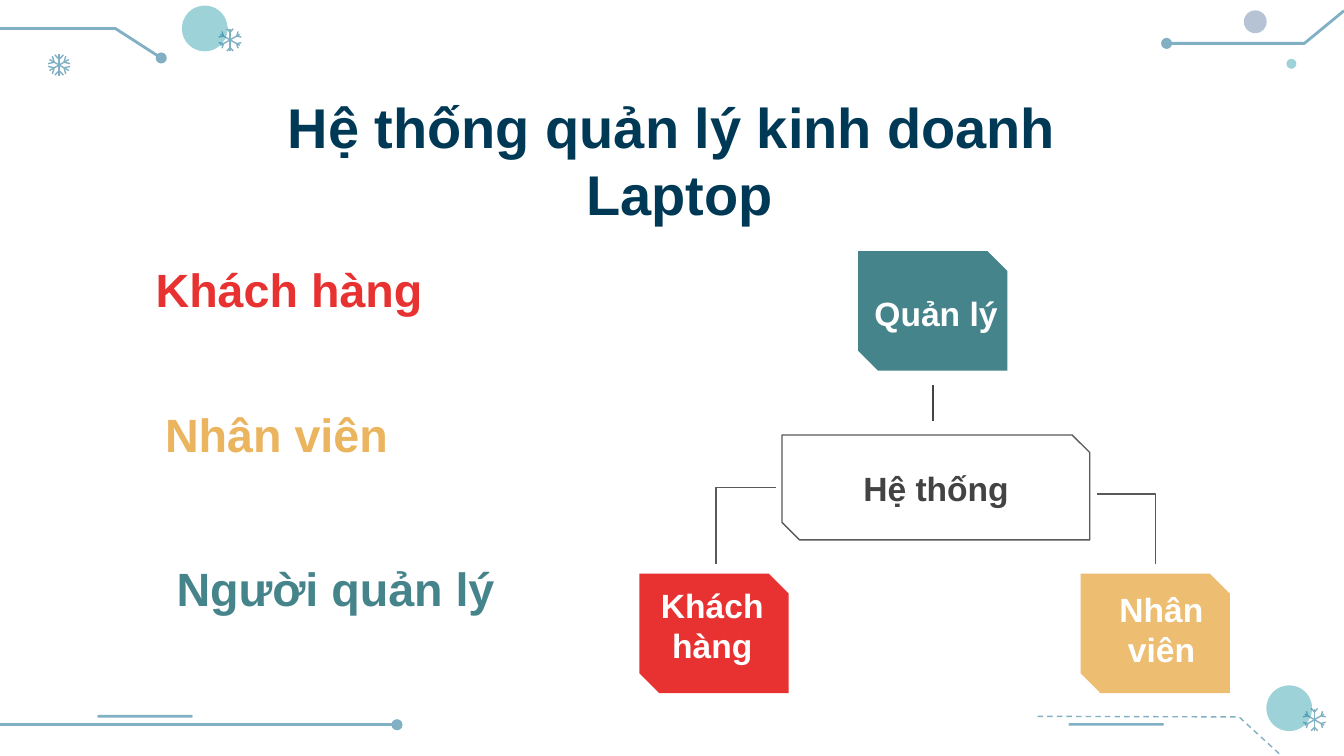
"""Build a slide on the parts of a laptop sales system."""
from dataclasses import dataclass
from math import cos, radians, sin
from typing import Any

from lxml.etree import SubElement
from pptx import Presentation
from pptx.dml.color import RGBColor
from pptx.enum.dml import MSO_LINE
from pptx.enum.shapes import MSO_CONNECTOR, MSO_SHAPE
from pptx.enum.text import MSO_ANCHOR, PP_ALIGN
from pptx.oxml.ns import qn
from pptx.util import Inches, Pt

COLS, ROWS = 100, 56.25
CELL = Inches(0.1)
HUES = {
    "navy": "003956", "red": "E83232", "gold": "EBB45E", "sand": "EDBD72",
    "teal": "46848C", "white": "FFFFFF", "dark": "434343", "gray": "595959",
    "trace": "81B0C5", "aqua": "00899C", "slate": "496A95",
}
FRAME = {
    "word_wrap": True, "margin_left": CELL, "margin_right": CELL,
    "margin_top": CELL, "margin_bottom": CELL,
}
Point = tuple[float, float]


@dataclass(frozen=True)
class Box:
    """Place of an item in grid columns and rows."""
    col: float
    row: float
    wide: float
    high: float

    def span(self) -> list[int]:
        """Give the place in slide units."""
        return [grid(n) for n in (self.col, self.row, self.wide, self.high)]


@dataclass(frozen=True)
class Label:
    """Words with their place and look."""
    text: str
    box: Box
    hue: str
    size: int = 18
    align: Any = PP_ALIGN.CENTER
    anchor: Any = MSO_ANCHOR.BOTTOM
    after: int = 0


@dataclass(frozen=True)
class Trace:
    """Open line through grid points."""
    dots: tuple[Point, ...]
    width: float = 1.5
    knob: bool = False
    dash: bool = False


@dataclass(frozen=True)
class Flake:
    """Snowflake with six forked arms."""
    hub: Point
    fork: float
    tip: Point


@dataclass(frozen=True)
class Panel:
    """Filled or outlined preset shape."""
    box: Box
    hue: str
    kind: Any = MSO_SHAPE.SNIP_2_DIAG_RECTANGLE
    hollow: bool = False
    alpha: int = 100


SNIP = (11.1, 8.9)
PILL = (7.1, 0.2)
DISC = (3.4, 3.4)
OVAL = MSO_SHAPE.OVAL
ROUND = MSO_SHAPE.ROUNDED_RECTANGLE
TRACES = [
    Trace(((0, 53.93), (27.6, 53.93), (29.54, 53.93)), knob=True),
    Trace(((COLS, 0.8), (97.05, 3.23), (86.8, 3.23)), knob=True),
    Trace(((0, 2.13), (8.6, 2.13), (12, 4.32)), knob=True),
    Trace(((77.2, 53.3), (92.2, 53.35), (95.2, 56.1)), 0.75, dash=True),
]
FLAKES = [
    Flake((17.12, 2.97), 0.57, (0.83, 0.24)),
    Flake((4.4, 4.84), 0.42, (0.76, 0.32)),
    Flake((97.8, 53.55), 0.57, (0.83, 0.24)),
]
PANELS = [
    Panel(Box(7.24, 53.2, *PILL), "trace", ROUND),
    Panel(Box(79.5, 53.8, *PILL), "trace", ROUND),
    Panel(Box(92.55, 0.77, 1.7, 1.7), "slate", OVAL, alpha=40),
    Panel(Box(95.72, 4.38, 0.74, 0.74), "aqua", OVAL, alpha=38),
    Panel(Box(13.54, 0.42, *DISC), "aqua", OVAL, alpha=38),
    Panel(Box(94.23, 51, *DISC), "aqua", OVAL, alpha=38),
    Panel(Box(47.58, 42.68, *SNIP), "red"),
    Panel(Box(80.4, 42.68, *SNIP), "sand"),
    Panel(Box(63.85, 18.68, *SNIP), "teal"),
    Panel(Box(58.18, 32.37, 22.9, 7.8), "gray", hollow=True),
]
LINKS = [
    (MSO_CONNECTOR.STRAIGHT, (69.42, 28.62), (69.42, 31.3), "dark"),
    (MSO_CONNECTOR.ELBOW, (57.72, 36.25), (53.28, 41.97), "gray"),
    (MSO_CONNECTOR.ELBOW, (81.63, 36.75), (85.98, 42), "gray"),
]
HEAD = Label("Hệ thống quản lý kinh doanh\v Laptop", Box(7.8, 5.9, 84.4, 11.4),
             "navy", 30, anchor=MSO_ANCHOR.TOP)
ROLES = [
    Label(text, Box(col, row, 29.1, high), hue, 25, PP_ALIGN.LEFT, MSO_ANCHOR.TOP, 16)
    for text, col, row, high, hue in (
        ("Khách hàng", 10.6, 18.4, 4.4, "red"),
        ("Nhân viên", 11.3, 29.2, 4.1, "gold"),
        ("Người quản lý", 12.15, 40.65, 4.1, "teal"),
    )
]
NODES = [
    Label("Khách hàng", Box(46.85, 43.5, 12.3, 7.03), "white"),
    Label("Nhân viên", Box(80.87, 44.03, 11.1, 6.8), "white"),
    Label("Hệ thống", Box(59.55, 33.3, 20.2, 5.5), "dark"),
    Label("Quản lý", Box(63.65, 18.9, 12, 6.9), "white"),
]


def grid(count: float) -> int:
    """Turn grid cells into slide units."""
    return round(count * CELL)


def tint(hue: str) -> RGBColor:
    """Look up a colour by name."""
    return RGBColor.from_string(HUES[hue])


def put(item: Any, values: dict[str, Any]) -> None:
    """Set each format value on an item."""
    for name, value in values.items():
        setattr(item, name, value)


def stroke(line: Any, hue: str, width: float) -> None:
    """Colour a line and set its width."""
    line.color.rgb = tint(hue)
    line.width = Pt(width)


def write(shape: Any, label: Label) -> None:
    """Place and format the words of a label."""
    put(shape, dict(zip(("left", "top", "width", "height"), label.box.span())))
    frame = shape.text_frame
    put(frame, FRAME | {"vertical_anchor": label.anchor})
    frame.text = label.text
    para = frame.paragraphs[0]
    put(para, {"alignment": label.align, "space_before": Pt(0),
               "space_after": Pt(label.after)})
    for run in para.runs:
        put(run.font, {"name": "Arial", "size": Pt(label.size), "bold": True})
        run.font.color.rgb = tint(label.hue)


def trail(shapes: Any, trace: Trace) -> None:
    """Draw an open line with its end and dash."""
    first, *rest = [(grid(x), grid(y)) for x, y in trace.dots]
    pen = shapes.build_freeform(*first)
    pen.add_line_segments(rest, close=False)
    shape = pen.convert_to_shape()
    shape.shadow.inherit = False
    shape.fill.background()
    stroke(shape.line, "trace", trace.width)
    if trace.dash:
        shape.line.dash_style = MSO_LINE.DASH
    if trace.knob:
        SubElement(shape.line._get_or_add_ln(), qn("a:tailEnd"), type="oval")


def frost(shapes: Any, flake: Flake) -> None:
    """Draw six arms, each with two barbs."""
    group = shapes.add_group_shape().shapes
    out, side = flake.tip
    for turn in range(30, 390, 60):
        c, s = cos(radians(turn)), sin(radians(turn))

        def spot(far: float, off: float = 0) -> Point:
            """Turn an arm offset into a grid point."""
            return flake.hub[0] + far * c - off * s, flake.hub[1] + far * s + off * c

        trail(group, Trace((spot(0.83), flake.hub), 0.75))
        for off in (-side, side):
            trail(group, Trace((spot(flake.fork), spot(out, off)), 0.75))


def block(shapes: Any, panel: Panel) -> None:
    """Draw a preset shape."""
    shape = shapes.add_shape(panel.kind, *panel.box.span())
    shape.shadow.inherit = False
    if panel.kind == MSO_SHAPE.SNIP_2_DIAG_RECTANGLE:
        shape.adjustments[0], shape.adjustments[1] = 0, 1 / 6
    elif panel.kind == ROUND:
        shape.adjustments[0] = 0.5
    if panel.hollow:
        shape.fill.background()
        stroke(shape.line, panel.hue, 0.75)
        return
    shape.line.fill.background()
    shape.fill.solid()
    shape.fill.fore_color.rgb = tint(panel.hue)
    if panel.alpha < 100:
        paint = shape._element.spPr.find(qn("a:solidFill"))[0]
        SubElement(paint, qn("a:alpha"), val=str(panel.alpha * 1000))


def link(shapes: Any, kind: Any, start: Point, end: Point, hue: str) -> None:
    """Join two points, bending at the far side."""
    wire = shapes.add_connector(kind, *map(grid, start + end))
    stroke(wire.line, hue, 0.75)
    props = wire._element.spPr
    SubElement(props, qn("a:effectLst"))
    if kind == MSO_CONNECTOR.ELBOW:
        guides = props.find(qn("a:prstGeom")).find(qn("a:avLst"))
        SubElement(guides, qn("a:gd"), name="adj1", fmla="val 100000")


def main() -> None:
    """Build and save the deck."""
    deck = Presentation()
    put(deck, {"slide_width": grid(COLS), "slide_height": grid(ROWS)})
    shapes = deck.slides.add_slide(deck.slide_layouts[5]).shapes
    write(shapes.title, HEAD)
    for draw, items in ((trail, TRACES), (frost, FLAKES), (block, PANELS)):
        for item in items:
            draw(shapes, item)
    for args in LINKS:
        link(shapes, *args)
    for label in ROLES + NODES:
        write(shapes.add_textbox(*label.box.span()), label)
    deck.save("out.pptx")


if __name__ == "__main__":
    main()
